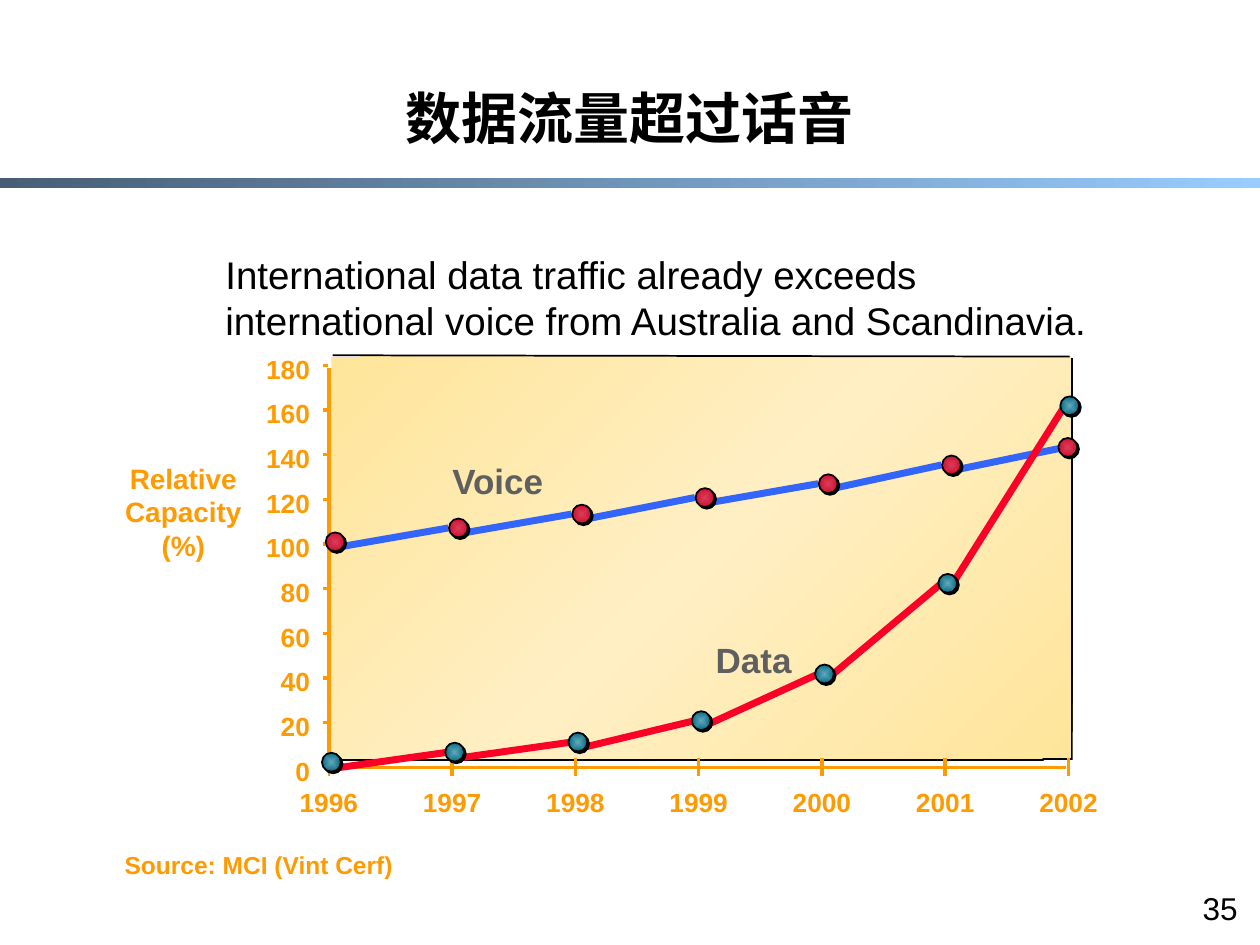
import pptx
import pptx.util
import pptx.dml.color
import pptx.enum.shapes
import pptx.enum.text
import lxml.etree
from pptx.oxml.ns import qn

HUES = {
    "ink": "000000", "gold": "FE9B03", "grey": "5F5F5F",
    "blue": "3365FB", "red": "FC0128",
    "slate": "475E76", "sky": "99CCFF",
    "sand": "FFE59B", "cream": "FFEFC3",
    "rose": "D93E59", "ruby": "CF0E30",
    "mist": "66A7B8", "teal": "006C88",
}
FORM = pptx.enum.shapes.MSO_SHAPE
ALIGN = pptx.enum.text.PP_ALIGN
ANCHOR = pptx.enum.text.MSO_ANCHOR
RGB = pptx.dml.color.RGBColor.from_string

# Slide: a grid of 10 columns by 7.5 rows
deck = pptx.Presentation()
deck.slide_width = pptx.util.Inches(10)
deck.slide_height = pptx.util.Inches(7.5)
cell = deck.slide_width // 10
slide = deck.slides.add_slide(deck.slide_layouts[5])
items = slide.shapes


def write(shape, text, size, hue, bold=True, align=ALIGN.LEFT, pad=0):
    frame = shape.text_frame
    frame.word_wrap = True
    frame.margin_left = frame.margin_right = int(pad * cell)
    frame.margin_top = frame.margin_bottom = int(pad * cell / 2)
    para = frame.paragraphs[0]
    para.text = text
    para.alignment = align
    for run in para.runs:
        run.font.name = "Arial"
        run.font.size = pptx.util.Pt(size)
        run.font.bold = bold
        run.font.color.rgb = RGB(HUES[hue])


def blend(form, box, stops, angle=None, edge=False, shade=True):
    shape = items.add_shape(form, *[int(v * cell) for v in box])
    shape.fill.gradient()
    grad = shape.fill._xPr.find(qn("a:gradFill"))
    for child in list(grad):
        grad.remove(child)
    bar = lxml.etree.SubElement(grad, qn("a:gsLst"))
    for i, hue in enumerate(stops):
        stop = lxml.etree.SubElement(bar, qn("a:gs"), pos=str(100000 * i // (len(stops) - 1)))
        lxml.etree.SubElement(stop, qn("a:srgbClr"), val=HUES[hue])
    if angle is None:
        route = lxml.etree.SubElement(grad, qn("a:path"), path="rect")
        lxml.etree.SubElement(route, qn("a:fillToRect"), l="50000", t="50000", r="50000", b="50000")
    else:
        lxml.etree.SubElement(grad, qn("a:lin"), ang=str(angle * 60000), scaled="0")
    if edge:
        shape.line.color.rgb = RGB(HUES["ink"])
        shape.line.width = pptx.util.Pt(1)
    else:
        shape.line.fill.background()
    shape.shadow.inherit = False
    if shade:
        effect = shape._element.spPr.find(qn("a:effectLst"))
        drop = lxml.etree.SubElement(effect, qn("a:outerShdw"), blurRad="0", dist="17780",
                                     dir="2700000", algn="ctr", rotWithShape="0")
        lxml.etree.SubElement(drop, qn("a:srgbClr"), val=HUES["ink"])


# Title and band
title = items.title
title.left, title.top, title.width, title.height = [int(v * cell) for v in (1.08, 0.33, 7.83, 0.92)]
write(title, "数据流量超过话音", 32, "ink", align=ALIGN.CENTER, pad=0.1)
title.text_frame.vertical_anchor = ANCHOR.BOTTOM
title.text_frame.paragraphs[0].line_spacing = 0.9
blend(FORM.RECTANGLE, (0, 1.41, 10, 0.08), ["slate", "sky"], 0, shade=False)

# Plot area and its scales
blend(FORM.RECTANGLE, (2.63, 2.83, 5.87, 3.19), ["sand", "cream", "sand"], 45)
left, right, top, base = 2.61, 8.48, 2.9, 6.09
years = range(1996, 2003)
marks = range(0, 181, 20)
step = (right - left) / (len(years) - 1)
unit = (base - top) / marks[-1]

# Axis lines and ticks: from x, y to x, y, hue, points
lines = [
    (2.64, 2.82, 8.49, 2.83, "ink", 1),
    (left, 2.92, left, 6.07, "gold", 2),
    (2.63, base, 8.46, base, "gold", 2),
]
for mark in marks:
    y = base - mark * unit
    lines.append((2.56, y, 2.6, y, "gold", 2 if mark else 1))
for i in range(len(years)):
    x = left + i * step
    lines.append((x, 6.16, x, 6.02, "gold", 2 if i else 1))

# Series: line hue, dot hues, dot shift, values
series = [
    ("blue", ["rose", "ruby"], 0.05, [101, 107.2, 113.4, 120.8, 127, 135.4, 143.3]),
    ("red", ["mist", "teal"], 0.02, [2.3, 6.8, 11.3, 20.9, 41.8, 82.4, 161.9]),
]
dots = []
for hue, stops, shift, values in series:
    for i, value in enumerate(values):
        x, y = left + i * step, base - value * unit
        dots.append((min(x + shift, 8.5 - shift / 2), y, stops))
        if i:
            lines.append((x - step + 0.03, base - values[i - 1] * unit + 0.05,
                          x - 0.03, y, hue, 4))

for *ends, hue, width in lines:
    line = items.add_connector(pptx.enum.shapes.MSO_CONNECTOR.STRAIGHT,
                               *[int(v * cell) for v in ends])
    line.line.color.rgb = RGB(HUES[hue])
    line.line.width = pptx.util.Pt(width)
    lxml.etree.SubElement(line._element.spPr, qn("a:effectLst"))
size = 0.15
for x, y, stops in dots:
    blend(FORM.OVAL, (x - size / 2, y - size / 2, size, size), stops, edge=True)

# Texts: box, wording, size, hue, bold, alignment, padding
texts = [
    ((8.58, 7.01, 1.34, 0.4), "35", 18, "ink", False, ALIGN.RIGHT, 0.1),
    ((0.96, 3.66, 0.99, 0.8), "Relative\nCapacity\n(%)", 16, "gold", True, ALIGN.CENTER, 0),
    ((3.59, 3.65, 0.8, 0.33), "Voice", 20, "grey", True, ALIGN.LEFT, 0),
    ((5.68, 5.07, 0.7, 0.33), "Data", 20, "grey", True, ALIGN.LEFT, 0),
    ((0.89, 6.7, 2.45, 0.33), "Source: MCI (Vint Cerf)", 14, "gold", True, ALIGN.LEFT, 0.1),
    ((1.69, 1.94, 7.18, 0.79), "International data traffic already exceeds "
     "international voice from Australia and Scandinavia.", 22, "ink", False, ALIGN.LEFT, 0.1),
]
for mark in marks:
    texts.append(((2.06, base - mark * unit - 0.1, 0.4, 0.25), str(mark), 15, "gold",
                  True, ALIGN.RIGHT, 0))
for i, year in enumerate(years):
    texts.append(((left + i * step - 0.3, 6.24, 0.6, 0.25), str(year), 15, "gold",
                  True, ALIGN.CENTER, 0))
for box, *style in texts:
    write(items.add_textbox(*[int(v * cell) for v in box]), *style)

deck.save("out.pptx")
